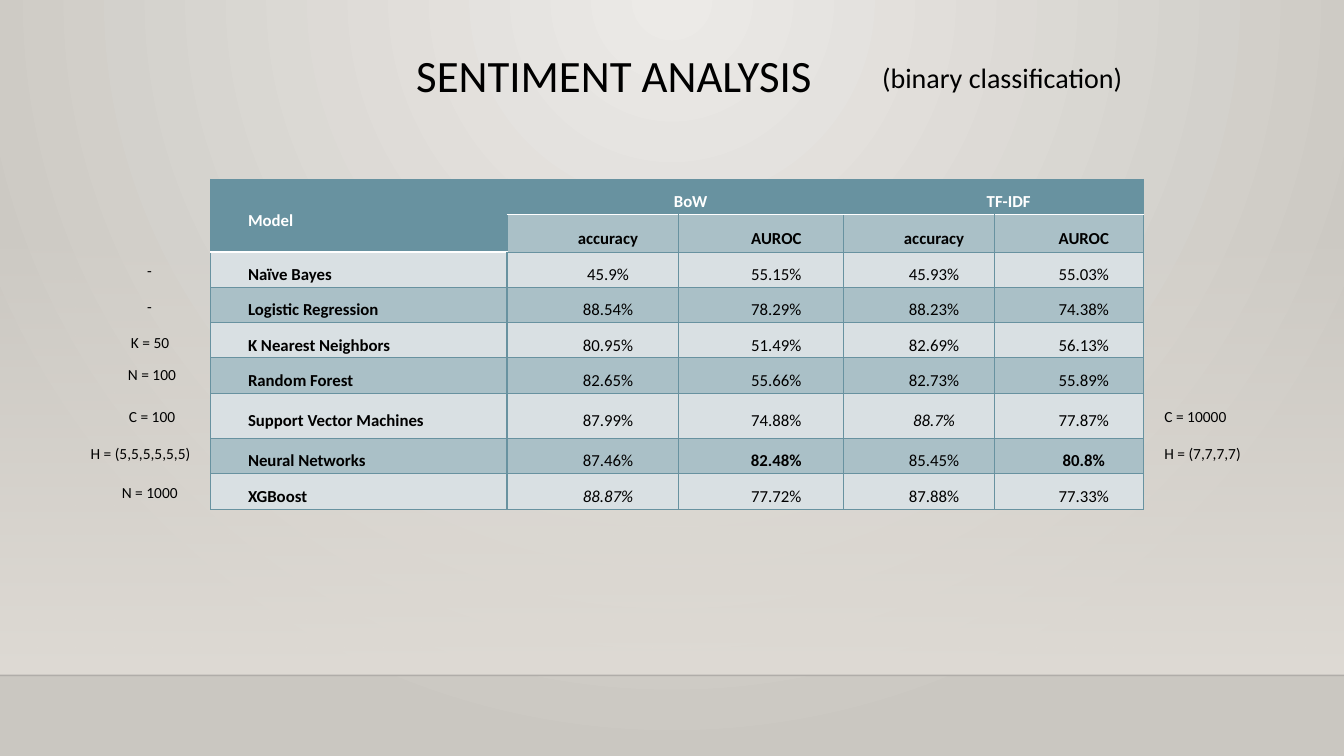
from lxml import etree
from pptx import Presentation, util as u
from pptx.dml.color import RGBColor
from pptx.enum import shapes, text
from pptx.oxml import parse_xml
from pptx.oxml.ns import nsdecls, qn

W, H = 13.33, 7.5
FONT = "Calibri"
BLACK, WHITE = RGBColor(0, 0, 0), RGBColor(255, 255, 255)
TEAL = RGBColor(0x68, 0x92, 0xA0)
BAND_DARK, BAND_LIGHT = RGBColor(0xAA, 0xC0, 0xC7), RGBColor(0xD9, 0xE0, 0xE3)
GLOW, EDGE = RGBColor(0xEC, 0xEA, 0xE7), RGBColor(0xCA, 0xC7, 0xC1)
FLOOR, SHADE = RGBColor(0xDF, 0xDB, 0xD5), RGBColor(0, 0, 1)

RESULTS = [
    ["Model", "BoW", "", "TF-IDF", ""],
    ["", "accuracy", "AUROC", "accuracy", "AUROC"],
    ["Naïve Bayes", "45.9%", "55.15%", "45.93%", "55.03%"],
    ["Logistic Regression", "88.54%", "78.29%", "88.23%", "74.38%"],
    ["K Nearest Neighbors", "80.95%", "51.49%", "82.69%", "56.13%"],
    ["Random Forest", "82.65%", "55.66%", "82.73%", "55.89%"],
    ["Support Vector Machines", "87.99%", "74.88%", "88.7%", "77.87%"],
    ["Neural Networks", "87.46%", "82.48%", "85.45%", "80.8%"],
    ["XGBoost", "88.87%", "77.72%", "87.88%", "77.33%"],
]
BEST_AUROC = {"82.48%", "80.8%"}
BEST_ACCURACY = {"88.7%", "88.87%"}
MERGES = [((0, 0), (1, 0)), ((0, 1), (0, 2)), ((0, 3), (0, 4))]
COLS = [2.94, 1.7, 1.64, 1.49, 1.48]
ROWS = [0.35, 0.37, 0.35, 0.35, 0.35, 0.35, 0.45, 0.35, 0.35]
TABLE_LEFT, TABLE_TOP = 2.09, 1.78
FLOOR_TOP, FLOOR_LINE = 2.21, 6.7

# text, left, top, width
PARAMETERS = [
    ("-", 1.36, 2.54, 0.32),
    ("-", 1.36, 2.9, 0.32),
    ("K = 50", 1.2, 3.26, 0.64),
    ("N = 100", 1.17, 3.57, 0.8),
    ("C = 100", 1.18, 3.99, 0.8),
    ("H = (5,5,5,5,5,5)", 0.8, 4.36, 1.24),
    ("N = 1000", 1.11, 4.74, 0.93),
    ("C = 10000", 11.45, 3.99, 1.05),
    ("H = (7,7,7,7)", 11.45, 4.36, 1.24),
]


def set_gradient(parent, old_fill, stops, direction):
    """Replace old_fill in parent by a gradient of (position, colour, opacity) stops."""
    marks = "".join(
        f'<a:gs pos="{pos * 1000}"><a:srgbClr val="{color}">'
        f'<a:alpha val="{opacity * 1000}"/></a:srgbClr></a:gs>'
        for pos, color, opacity in stops)
    parent.replace(old_fill, parse_xml(
        f'<a:gradFill {nsdecls("a")} rotWithShape="1"><a:gsLst>{marks}</a:gsLst>'
        f'{direction}</a:gradFill>'))


def style_runs(p, size, color=BLACK, bold=False, italic=False):
    for r in p.runs:
        f = r.font
        f.name, f.size, f.bold, f.italic = FONT, u.Pt(size), bold, italic
        f.color.rgb = color


def add_text(s, words, left, top, width, height, size, spacing=1.0, before=0):
    tf = s.shapes.add_textbox(*map(u.Inches, (left, top, width, height))).text_frame
    tf.word_wrap = True
    p = tf.paragraphs[0]
    p.text, p.line_spacing, p.space_before = words, spacing, u.Pt(before)
    style_runs(p, size)


def set_borders(cell, row, col):
    heavy = {}
    if row == 0:
        heavy["B"] = WHITE
    if row == 1 and col > 0:
        heavy["T"] = WHITE
    if row > 1 and col < 2:
        heavy["R" if col == 0 else "L"] = TEAL
    tcPr = cell._tc.get_or_add_tcPr()
    for side in "LRTB":
        width = u.Pt(1.25 if side in heavy else 0.75)
        tcPr.append(parse_xml(
            f'<a:ln{side} {nsdecls("a")} w="{width}"><a:solidFill>'
            f'<a:srgbClr val="{heavy.get(side, TEAL)}"/></a:solidFill></a:ln{side}>'))


def fill_cell(cell, words, row, col):
    header = row == 0 or (row == 1 and col == 0)
    set_borders(cell, row, col)
    cell.fill.solid()
    cell.fill.fore_color.rgb = TEAL if header else BAND_DARK if row % 2 else BAND_LIGHT
    cell.vertical_anchor = text.MSO_ANCHOR.MIDDLE
    cell.margin_left = cell.margin_right = u.Inches(0.07)
    cell.margin_top = cell.margin_bottom = 0
    p = cell.text_frame.paragraphs[0]
    p.text, p.line_spacing = words, 1.5
    p.alignment = text.PP_ALIGN.CENTER if col else text.PP_ALIGN.LEFT
    pPr = p._p.get_or_add_pPr()
    pPr.set("marL", "0")
    pPr.set("indent", str(u.Inches(0.3)))
    style_runs(p, 12, WHITE if header else BLACK,
               bold=row < 2 or col == 0 or words in BEST_AUROC,
               italic=words in BEST_ACCURACY)


def add_background(s):
    s.background.fill.solid()
    bgPr = s._element.cSld.bg.bgPr
    set_gradient(bgPr, bgPr.find(qn("a:solidFill")), [(0, GLOW, 100), (100, EDGE, 100)],
                 '<a:path path="circle"><a:fillToRect l="43000" t="0" r="43000" b="100000"/>'
                 '</a:path>')
    sp = s.shapes.add_shape(shapes.MSO_SHAPE.RECTANGLE, 0, u.Inches(FLOOR_TOP),
                            u.Inches(W), u.Inches(FLOOR_LINE - FLOOR_TOP))
    sp.shadow.inherit = False
    sp.line.fill.background()
    sp.fill.solid()
    spPr = sp._element.spPr
    set_gradient(spPr, spPr.find(qn("a:solidFill")), [(0, FLOOR, 0), (100, FLOOR, 100)],
                 '<a:lin ang="5400000" scaled="0"/>')
    y = u.Inches(FLOOR_LINE)
    edge = s.shapes.add_connector(shapes.MSO_CONNECTOR.STRAIGHT, 0, y, u.Inches(W), y)
    edge.line.width = u.Pt(1)
    edge.line.color.rgb = SHADE
    spPr = edge._element.spPr
    etree.SubElement(next(spPr.iter(qn("a:srgbClr"))), qn("a:alpha")).set("val", "20000")
    etree.SubElement(spPr, qn("a:effectLst"))


def add_results(s):
    frame = s.shapes.add_table(len(ROWS), len(COLS), *map(
        u.Inches, (TABLE_LEFT, TABLE_TOP, sum(COLS), sum(ROWS))))
    table = frame.table
    for column, width in zip(table.columns, COLS):
        column.width = u.Inches(width)
    for table_row, height in zip(table.rows, ROWS):
        table_row.height = u.Inches(height)
    for row, values in enumerate(RESULTS):
        for col, words in enumerate(values):
            fill_cell(table.cell(row, col), words, row, col)
    for first, last in MERGES:
        table.cell(*first).merge(table.cell(*last))


def main():
    prs = Presentation()
    prs.slide_width, prs.slide_height = u.Inches(W), u.Inches(H)
    s = prs.slides.add_slide(prs.slide_layouts[6])
    add_background(s)
    add_text(s, "SENTIMENT ANALYSIS", 4.03, 0.48, 4.77, 1.15, 32, spacing=0.9)
    add_results(s)
    add_text(s, "(binary classification)", 8.65, 0.48, 2.69, 0.52, 20, spacing=1.2, before=10)
    for words, left, top, width in PARAMETERS:
        add_text(s, words, left, top, width, 0.31, 11, before=10)
    prs.save("out.pptx")


if __name__ == "__main__":
    main()
